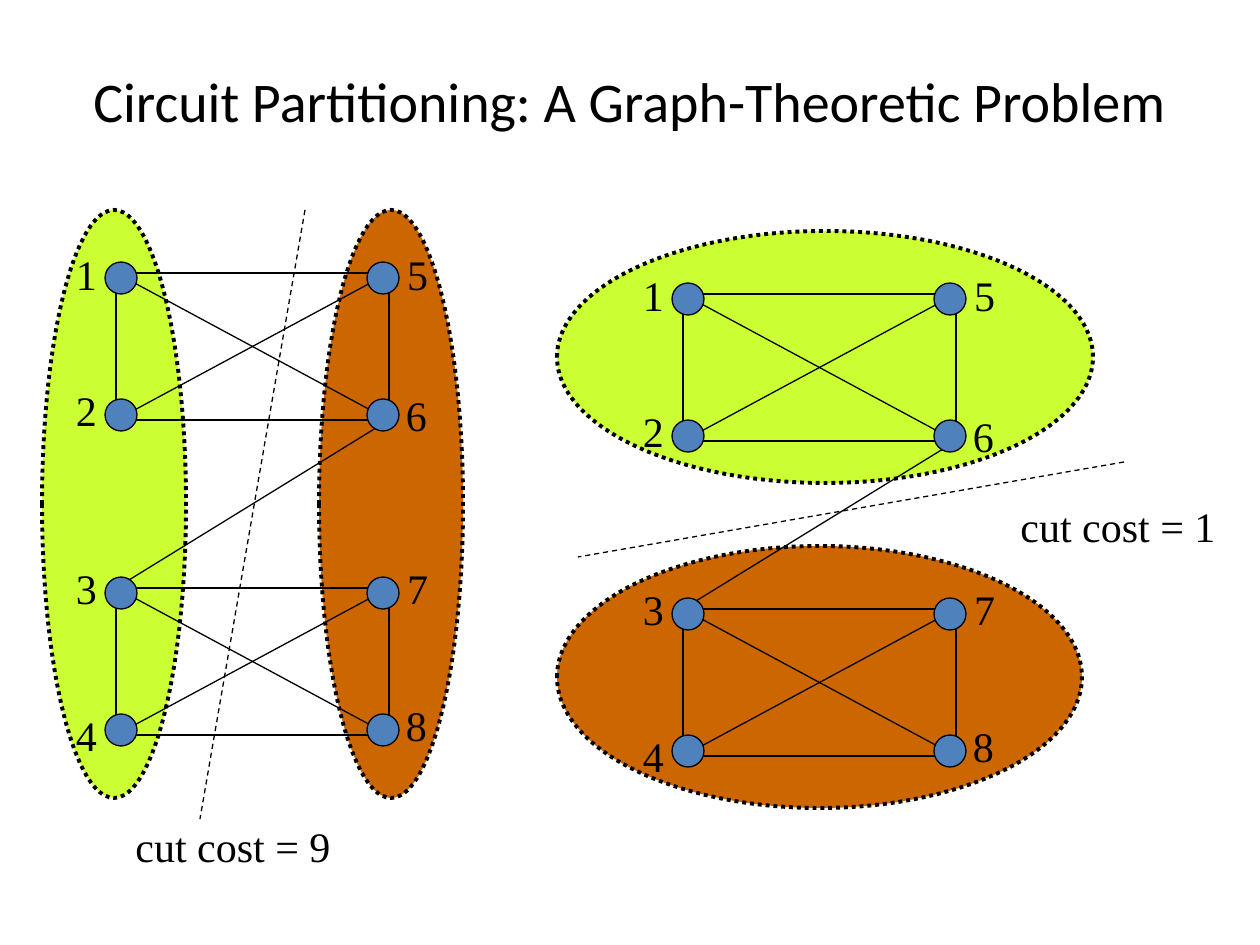
from dataclasses import dataclass

from lxml import etree
from pptx import Presentation
from pptx import util as u
from pptx.dml.color import RGBColor
from pptx.enum import dml, shapes, text
from pptx.oxml.ns import qn

PX = 914400 / 126


@dataclass(frozen=True)
class Theme:
    ink: str = "000000"
    lime: str = "CCFF33"
    rust: str = "CC6600"
    node: str = "4F81BD"
    title_font: str = "Calibri"
    body_font: str = "Times New Roman"
    title_size: int = 32
    body_size: int = 24
    thin: float = 0.75
    thick: float = 2.25


THEME = Theme()
NODE = 32
COLUMNS = (0, 262)
ROWS = (0, 137, 315, 452)
CELL_TOPS = (11, 326)
CELL_WIDTH, CELL_HEIGHT = 273, 147
LABEL_OFFSETS = {
    "1": (-42, -20), "2": (-42, 116), "3": (-42, 294), "4": (-42, 441),
    "5": (289, -20), "6": (288, 121), "7": (289, 294), "8": (288, 431),
}


def emu(*lengths):
    return [u.Emu(round(length * PX)) for length in lengths]


def style_line(line, width, dash=None):
    line.color.rgb = RGBColor.from_string(THEME.ink)
    line.width = u.Pt(width)
    if dash:
        line.dash_style = dash


def add_outline(parent, kind, box, fill=None, width=THEME.thin, dash=None):
    outline = parent.add_shape(kind, *emu(*box))
    outline.shadow.inherit = False
    if fill:
        outline.fill.solid()
        outline.fill.fore_color.rgb = RGBColor.from_string(fill)
    else:
        outline.fill.background()
    style_line(outline.line, width, dash)


def add_partition(parent, box, fill):
    add_outline(parent, shapes.MSO_SHAPE.OVAL, box, fill, THEME.thick,
                dml.MSO_LINE.ROUND_DOT)


def add_edge(parent, start, end, dash=None):
    edge = parent.add_connector(shapes.MSO_CONNECTOR.STRAIGHT, *emu(*start, *end))
    style_line(edge.line, THEME.thin, dash)
    etree.SubElement(edge._element.spPr, qn("a:effectLst"))


def add_text(parent, box, words, size=THEME.body_size, font=THEME.body_font,
             align=text.PP_ALIGN.CENTER, anchor=text.MSO_ANCHOR.MIDDLE, wrap=False):
    frame = parent.add_textbox(*emu(*box)).text_frame
    frame.word_wrap = wrap
    frame.auto_size = text.MSO_AUTO_SIZE.NONE if wrap else text.MSO_AUTO_SIZE.SHAPE_TO_FIT_TEXT
    frame.vertical_anchor = anchor
    paragraph = frame.paragraphs[0]
    paragraph.text = words
    paragraph.alignment = align
    paragraph.font.size = u.Pt(size)
    paragraph.font.name = font
    paragraph.font.color.rgb = RGBColor.from_string(THEME.ink)


def add_circuit(parent, x, y):
    left, right = x + 11, x + 11 + CELL_WIDTH
    spans = [(y + top, y + top + CELL_HEIGHT) for top in CELL_TOPS]
    for top, _ in spans:
        add_outline(parent, shapes.MSO_SHAPE.RECTANGLE,
                    (left, top, CELL_WIDTH, CELL_HEIGHT))
    for start, end in ((left, right), (right, left)):
        for top, bottom in spans:
            add_edge(parent, (start, top), (end, bottom))
    add_edge(parent, (right, spans[0][1]), (left, spans[1][0]))
    for row in ROWS:
        for column in COLUMNS:
            add_outline(parent, shapes.MSO_SHAPE.OVAL,
                        (x + column, y + row, NODE, NODE), THEME.node)
    for number, (dx, dy) in LABEL_OFFSETS.items():
        add_text(parent, (x + dx, y + dy, 47, 63), number)


def add_cut(parent, start, end, caption_at, caption):
    cut = parent.add_group_shape().shapes
    add_edge(cut, start, end, dml.MSO_LINE.DASH)
    add_text(cut, (*caption_at, 220, 63), caption,
             align=text.PP_ALIGN.LEFT, anchor=text.MSO_ANCHOR.TOP)


def main():
    deck = Presentation()
    deck.slide_width, deck.slide_height = emu(1260, 945)
    canvas = deck.slides.add_slide(deck.slide_layouts[6]).shapes

    columns = canvas.add_group_shape().shapes
    add_partition(columns, (319, 210, 144, 588), THEME.rust)
    add_partition(columns, (42, 210, 144, 588), THEME.lime)
    add_text(canvas, (0, 21, 1260, 158), "Circuit Partitioning: A Graph-Theoretic Problem",
             THEME.title_size, THEME.title_font, wrap=True)
    add_circuit(canvas, 105, 262)
    add_cut(canvas, (305, 210), (200, 819), (123, 814), "cut cost = 9")
    add_cut(canvas, (1124, 462), (578, 557), (1008, 494), "cut cost = 1")

    rows = canvas.add_group_shape().shapes
    add_partition(rows, (557, 546, 525, 262), THEME.rust)
    add_partition(rows, (557, 231, 536, 252), THEME.lime)
    add_circuit(rows, 672, 283)

    deck.save("out.pptx")


if __name__ == "__main__":
    main()
